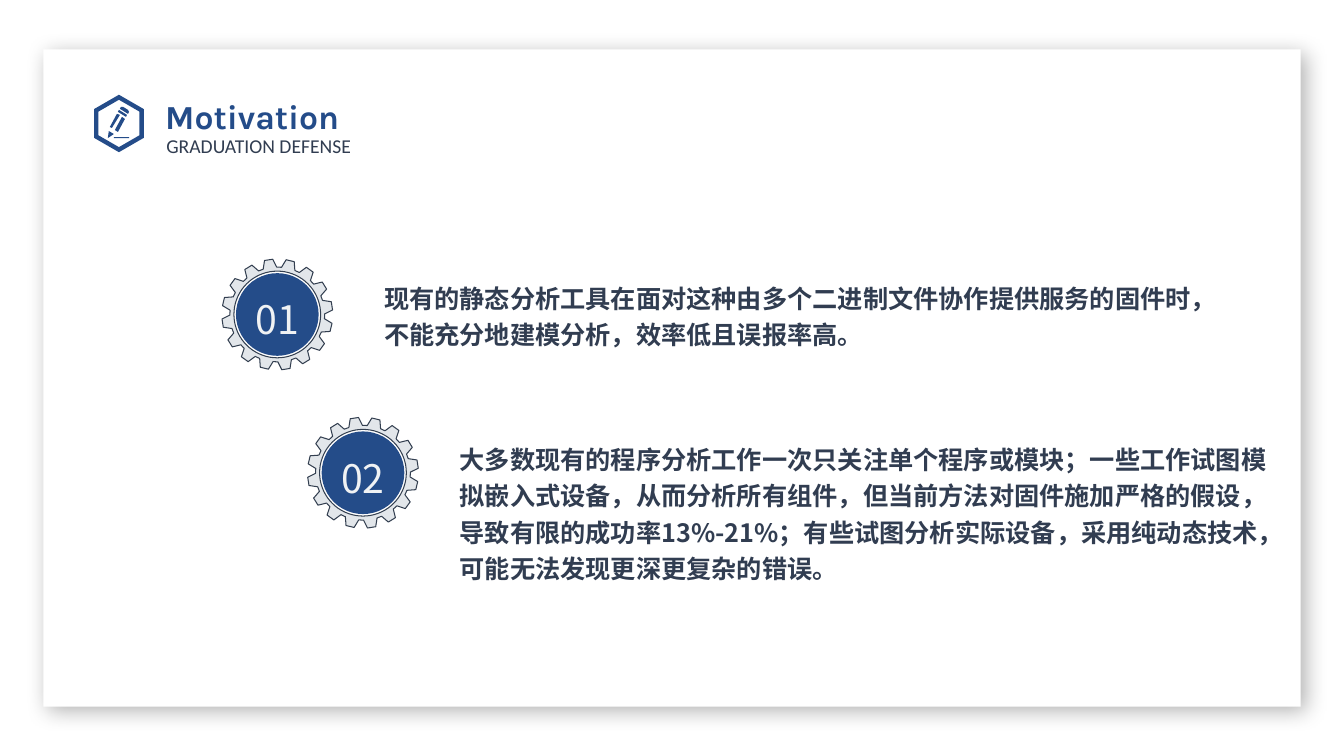
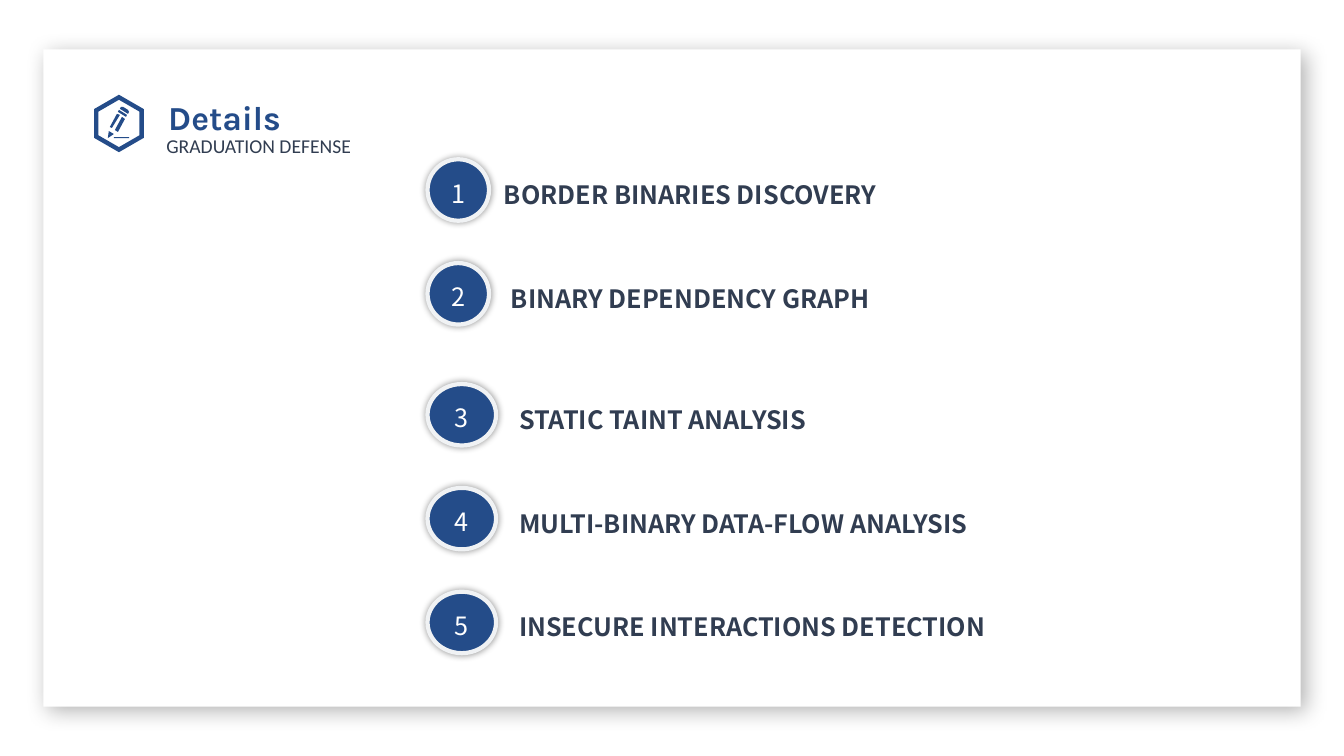
from math import cos, radians, sin

from pptx import Presentation
from pptx.dml.color import RGBColor
from pptx.enum.shapes import MSO_SHAPE as Shape
from pptx.enum.text import MSO_ANCHOR as Anchor, MSO_AUTO_SIZE as AutoSize, PP_ALIGN as Align
from pptx.oxml.ns import qn
from pptx.oxml.xmlchemy import OxmlElement
from pptx.util import Pt

PX = 9144
BLUE, INK, WHITE, PALE = "244C89", "313D51", "FFFFFF", "F0F2F4"
GEAR_FILL, GEAR_LINE = "E2E6EA", "333F50"
SANS = "Noto Sans CJK SC"
SUBTITLE = "GRADUATION DEFENSE"

MOTIVATION = [
    ("01", (275, 312), (381, 275, 820, 70),
     "现有的静态分析工具在面对这种由多个二进制文件协作提供服务的固件时，"
     "不能充分地建模分析，效率低且误报率高。"),
    ("02", (360, 469), (456, 435, 820, 143),
     "大多数现有的程序分析工作一次只关注单个程序或模块；一些工作试图模拟嵌入式设备，"
     "从而分析所有组件，但当前方法对固件施加严格的假设，导致有限的成功率13%-21%；"
     "有些试图分析实际设备，采用纯动态技术，可能无法发现更深更复杂的错误。"),
]

DETAIL_GROUPS = [
    (158, 61, [("BORDER BINARIES DISCOVERY", 490), ("BINARY DEPENDENCY GRAPH", 497)]),
    (381, 68, [("STATIC TAINT ANALYSIS", 505), ("MULTI-BINARY DATA-FLOW ANALYSIS", 505),
               ("INSECURE INTERACTIONS DETECTION", 505)]),
]
DETAIL_STEP = 103

PENCIL = [
    [(113, 136), (128, 136), (128, 137), (113, 137)],
    [(114, 129), (121, 116), (124, 118), (117, 131)],
    [(109, 126), (116, 113), (119, 114), (111, 127)],
    [(107, 137), (108, 130), (113, 133)],
    [(118, 109), (117, 111), (125, 116), (126, 114)],
    [(119, 108), (120, 106), (122, 106), (127, 109), (128, 111), (127, 113)],
]


def color(value):
    return RGBColor.from_string(value)


def paint(shape, fill, line=None, width=0):
    shape.shadow.inherit = False
    shape.fill.solid()
    shape.fill.fore_color.rgb = color(fill)
    if line:
        shape.line.color.rgb = color(line)
        shape.line.width = Pt(width)
    else:
        shape.line.fill.background()


def add_shadow(shape, alpha, blur, distance, angle):
    shadow = OxmlElement("a:outerShdw")
    for name, value in (("blurRad", Pt(blur)), ("dist", Pt(distance)), ("dir", angle * 60000)):
        shadow.set(name, str(value))
    shadow.set("algn", "tl" if distance else "ctr")
    shadow.set("rotWithShape", "0")
    tint, opacity = OxmlElement("a:srgbClr"), OxmlElement("a:alpha")
    tint.set("val", "000000")
    opacity.set("val", str(alpha * 1000))
    tint.append(opacity)
    shadow.append(tint)
    shape._element.spPr.find(qn("a:effectLst")).append(shadow)


def write(shape, text, size, tint, font=SANS, bold=False, align=Align.LEFT, spacing=1.2):
    shape.text_frame.text = text
    para = shape.text_frame.paragraphs[0]
    para.alignment = align
    para.line_spacing = spacing
    span = para.runs[0]
    span.font.name = font
    span.font.size = Pt(size)
    span.font.bold = bold
    span.font.color.rgb = color(tint)
    east_asian = OxmlElement("a:ea")
    east_asian.set("typeface", font)
    span.font._element.append(east_asian)


def add_preset(page, kind, left, top, width, height):
    return page.shapes.add_shape(kind, *(value * PX for value in (left, top, width, height)))


def add_text(page, area, text, size, tint, insets=(10, 5, 10, 5), wrap=True, **style):
    box = page.shapes.add_textbox(*(value * PX for value in area))
    frame = box.text_frame
    frame.word_wrap = wrap
    frame.auto_size = AutoSize.SHAPE_TO_FIT_TEXT
    frame.margin_left, frame.margin_top, frame.margin_right, frame.margin_bottom = (
        value * PX for value in insets)
    write(box, text, size, tint, **style)


def add_outline(page, contours, fill, line=None, width=0):
    scaled = [[(round(x * PX), round(y * PX)) for x, y in contour] for contour in contours]
    builder = page.shapes.build_freeform(*scaled[0][0], scale=1.0)
    for number, contour in enumerate(scaled):
        if number:
            builder.move_to(*contour[0])
        builder.add_line_segments(contour[1:], close=True)
    paint(builder.convert_to_shape(), fill, line, width)


def polar(center, radius, degrees):
    angle = radians(degrees)
    return center[0] + radius * cos(angle), center[1] + radius * sin(angle)


def ring(center, radius, count, start=0):
    return [polar(center, radius, start + 360 * step / count) for step in range(count)]


def add_gear(page, center, label):
    teeth = 16
    profile = [(47, -8.3), (55, -4.3), (55, 4.3), (47, 8.3)]
    rim = [polar(center, radius, 13.5 + 360 * tooth / teeth + offset)
           for tooth in range(teeth) for radius, offset in profile]
    add_outline(page, [ring(center, 43, 72), rim], GEAR_FILL, GEAR_LINE, 0.75)
    x, y = center
    disc = add_preset(page, Shape.OVAL, x - 41, y - 41, 82, 82)
    paint(disc, BLUE)
    add_text(page, (x - 33, y - 33, 66, 62), label, 28, PALE,
             wrap=False, align=Align.CENTER)


def add_page(deck, title, left, top):
    page = deck.slides.add_slide(deck.slide_layouts[6])
    card = add_preset(page, Shape.RECTANGLE, 43, 49, 1247, 652)
    paint(card, WHITE)
    add_shadow(card, 30, 15, 5, 45)
    center = (118, 122.5)
    hexagons = [ring(center, radius, 6, 30) for radius in (28.5, 23.5)]
    add_outline(page, hexagons + PENCIL, BLUE)
    add_text(page, (165, 124, 217, 34), SUBTITLE, 14, INK,
             insets=(0, 0, 0, 5), font="Calibri", spacing=Pt(23))
    add_text(page, (left, top, 397, 50), title, 24, BLUE, font="Karla", bold=True)
    return page


def add_detail(page, number, text, top, width, label_left):
    badge = add_preset(page, Shape.OVAL, 424, top, width, 61)
    paint(badge, BLUE, PALE, 3)
    add_shadow(badge, 40, 5, 0, 0)
    badge.text_frame.vertical_anchor = Anchor.MIDDLE
    write(badge, str(number), 18, WHITE, align=Align.CENTER)
    add_text(page, (label_left, top + 9, 600, 44), text, 18, INK, bold=True)


def main():
    deck = Presentation()
    deck.slide_width, deck.slide_height = 1333 * PX, 750 * PX

    page = add_page(deck, "Motivation", 154, 82)
    for label, center, area, text in MOTIVATION:
        add_gear(page, center, label)
        add_text(page, area, text, 18, INK, insets=(0, 0, 0, 0), bold=True)

    page = add_page(deck, "Details", 157, 83)
    number = 0
    for start, width, items in DETAIL_GROUPS:
        for row, (text, label_left) in enumerate(items):
            number += 1
            add_detail(page, number, text, start + row * DETAIL_STEP, width, label_left)

    deck.save("out.pptx")


if __name__ == "__main__":
    main()
